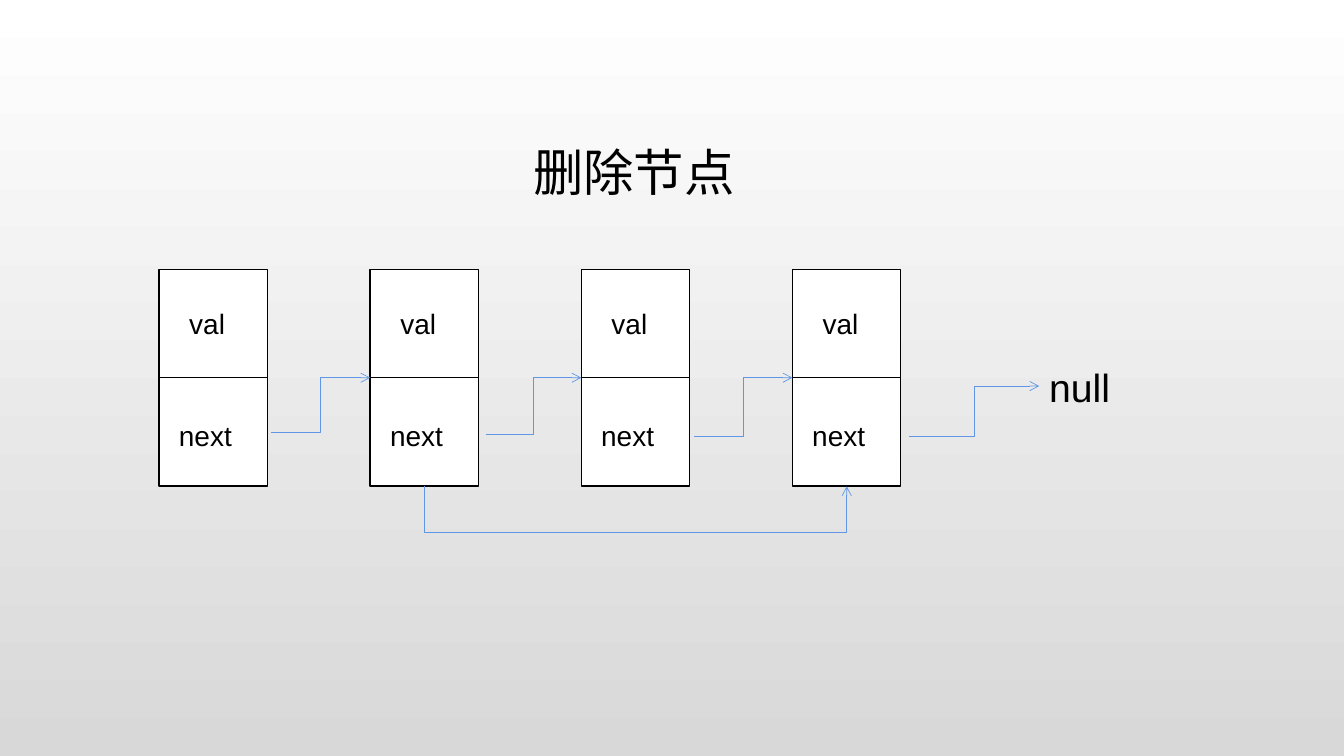
from lxml import etree
from pptx import Presentation, util as u
from pptx.dml.color import RGBColor
from pptx.enum import shapes, text
from pptx.oxml.ns import qn

BLACK, WHITE, GREY, BLUE = "000000", "FFFFFF", "D8D8D8", "6096E6"
CELL, PITCH, NODE_LEFT, NODE_TOP = 2.73, 5.32, 4.01, 6.79
NODE_BOTTOM = NODE_TOP + 2 * CELL


def colour(value):
    return RGBColor.from_string(value)


def node_left(index):
    return NODE_LEFT + index * PITCH


def paint_background(slide):
    fill = slide.background.fill
    fill.gradient()
    fill.gradient_angle = 270
    for stop, value in zip(fill.gradient_stops, (WHITE, GREY)):
        stop.color.rgb = colour(value)


def write(box, words, size=20, font="Arial", ink=BLACK):
    frame = box.text_frame
    frame.word_wrap = True
    frame.auto_size = text.MSO_AUTO_SIZE.SHAPE_TO_FIT_TEXT
    frame.vertical_anchor = text.MSO_ANCHOR.TOP
    para = frame.paragraphs[0]
    para.alignment = text.PP_ALIGN.LEFT
    span = para.add_run()
    span.text = words
    span.font.size = u.Pt(size)
    span.font.name = font
    span.font.color.rgb = colour(ink)


def add_label(slide, words, left, top, width, height, **style):
    box = slide.shapes.add_textbox(u.Cm(left), u.Cm(top), u.Cm(width), u.Cm(height))
    write(box, words, **style)


def add_title(slide, words, left, top, width, height, **style):
    title = slide.shapes.title
    title.left, title.top = u.Cm(left), u.Cm(top)
    title.width, title.height = u.Cm(width), u.Cm(height)
    write(title, words, **style)


def add_node(slide, left):
    right = left + CELL
    builder = slide.shapes.build_freeform(u.Cm(left), u.Cm(NODE_TOP))
    for top in (NODE_TOP, NODE_TOP + CELL):
        bottom = top + CELL
        corners = [(right, top), (right, bottom), (left, bottom)]
        builder.move_to(u.Cm(left), u.Cm(top))
        builder.add_line_segments([(u.Cm(x), u.Cm(y)) for x, y in corners], close=True)
    cells = builder.convert_to_shape()
    cells.shadow.inherit = False
    cells.fill.solid()
    cells.fill.fore_color.rgb = colour(WHITE)
    cells.line.color.rgb = colour(BLACK)
    cells.line.width = u.Pt(1)
    add_label(slide, "val", left + 0.51, 7.59, 1.7, 1.12)
    add_label(slide, "next", left + 0.25, 10.41, 2.21, 1.12)


def add_arrow(slide, x1, y1, x2, y2):
    arrow = slide.shapes.add_connector(
        shapes.MSO_CONNECTOR.ELBOW, u.Cm(x1), u.Cm(y1), u.Cm(x2), u.Cm(y2))
    arrow.line.color.rgb = colour(BLUE)
    arrow.line.width = u.Pt(0.5)
    etree.SubElement(arrow.line._get_or_add_ln(), qn("a:tailEnd"), type="arrow")
    etree.SubElement(arrow._element.spPr, qn("a:effectLst"))
    return arrow


def add_bypass(slide, start, end, depth):
    thickness = 0.01
    middle, half = (start + end) / 2, (end - start) / 2
    arrow = add_arrow(slide, middle, NODE_BOTTOM + half,
                      middle + thickness, NODE_BOTTOM - half)
    properties = arrow._element.spPr
    properties.find(qn("a:xfrm")).set("rot", str(90 * 60000))
    guides = properties.find(qn("a:prstGeom")).get_or_add_avLst()
    bend = round(depth / thickness * 100000)
    etree.SubElement(guides, qn("a:gd"), name="adj1", fmla=f"val {bend}")


def main():
    deck = Presentation()
    deck.slide_width, deck.slide_height = u.Cm(33.87), u.Cm(19.05)
    slide = deck.slides.add_slide(deck.slide_layouts[5])
    paint_background(slide)
    add_title(slide, "删除节点", 13.18, 3.43, 5.66, 1.8, size=36)
    for index in range(4):
        add_node(slide, node_left(index))
    starts = [(6.83, 10.9), (12.24, 10.95), (17.5, 11)]
    for index, (x, y) in enumerate(starts, 1):
        add_arrow(slide, x, y, node_left(index), NODE_TOP + CELL)
    add_label(slide, "null", 26.19, 9.02, 3.66, 1.45, size=28)
    add_arrow(slide, 22.91, 11, 26.19, 9.73)
    add_bypass(slide, node_left(1) + CELL / 2, node_left(3) + CELL / 2, 1.17)
    deck.save("out.pptx")


if __name__ == "__main__":
    main()
